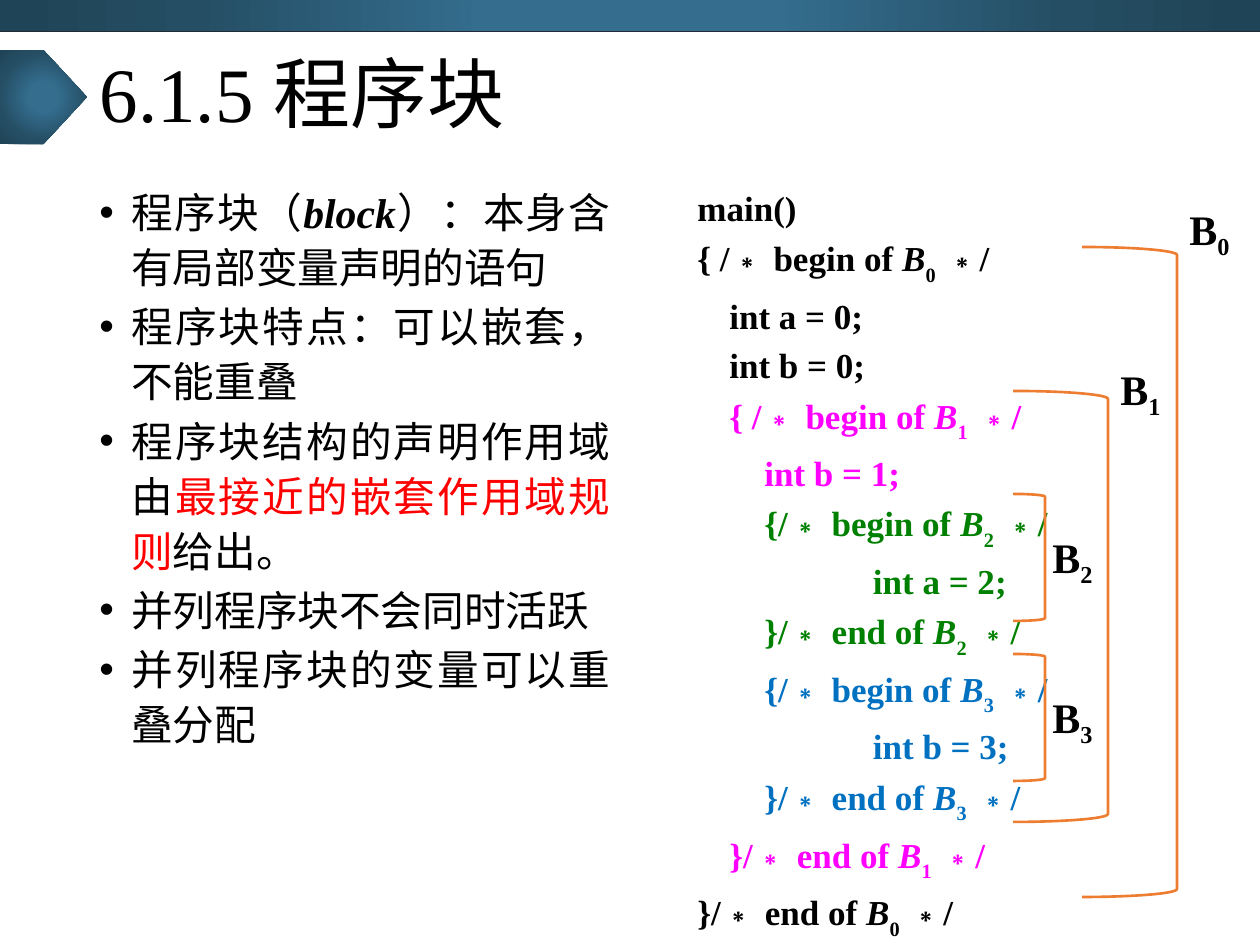
from lxml import etree
from pptx import Presentation
from pptx.dml.color import RGBColor
from pptx.enum.shapes import MSO_CONNECTOR, MSO_SHAPE
from pptx.enum.text import MSO_ANCHOR, MSO_AUTO_SIZE, PP_ALIGN
from pptx.oxml.ns import qn
from pptx.util import Emu, Pt

JUSTIFY, LEFT = PP_ALIGN.JUSTIFY, PP_ALIGN.LEFT
MIDDLE = MSO_ANCHOR.MIDDLE
GROW = MSO_AUTO_SIZE.SHAPE_TO_FIT_TEXT
RECT, PENTAGON = MSO_SHAPE.RECTANGLE, MSO_SHAPE.PENTAGON
BRACKET = MSO_SHAPE.RIGHT_BRACKET
STRAIGHT = MSO_CONNECTOR.STRAIGHT

LATIN, CJK = "Times New Roman", "Noto Sans CJK SC"
COLOURS = {
    "text": "000000", "key": "FF0000", "bracket": "ED7D31", "rule": "222A35",
    "B1": "FF00FF", "B2": "008000", "B3": "0070C0",
}
GRADIENT = [(0, "346D8E"), (23, "346D8E"), (69, "254E64"), (97, "204457")]

TITLE = "6.1.5 程序块"
# Each point is a list of (text, style)
POINTS = [
    [("程序块（", ""), ("block", "term"), ("）：本身含有局部变量声明的语句", "")],
    [("程序块特点：可以嵌套，不能重叠", "")],
    [("程序块结构的声明作用域由", ""), ("最接近的嵌套作用域规则", "key"), ("给出。", "")],
    [("并列程序块不会同时活跃", "")],
    [("并列程序块的变量可以重叠分配", "")],
]
# Code text, block named in its comment (None without a comment), colour
CODE = [
    ("main()", None, "text"),
    ("{ /∗ begin of ", 0, "text"),
    ("\tint a = 0;", None, "text"),
    ("\tint b = 0;", None, "text"),
    ("\t{ /∗ begin of ", 1, "B1"),
    ("\t    int b = 1;", None, "B1"),
    ("\t    {/∗ begin of ", 2, "B2"),
    ("\t\t  int a = 2;", None, "B2"),
    ("\t    }/∗ end of ", 2, "B2"),
    ("\t    {/∗ begin of ", 3, "B3"),
    ("\t\t  int b = 3;", None, "B3"),
    ("\t    }/∗ end of ", 3, "B3"),
    ("\t}/∗ end of ", 1, "B1"),
    ("}/∗ end of ", 0, "text"),
]
# Block number, bracket (left, top, width, height), label top
BLOCKS = [
    (2, (1013, 494, 32, 127), 525),
    (3, (1013, 654, 32, 127), 685),
    (1, (1013, 391, 95, 431), 357),
    (0, (1082, 247, 95, 650), 197),
]
LABEL_W, LABEL_H = 68, 63
LABEL_OVERLAP = {2: 5, 3: 5}
COLUMN_TOP, COLUMN_W, COLUMN_H = 176, 536, 675
POINTS_LEFT, CODE_LEFT = 87, 685
INDENT, TAB = 32, 126


def px(*lengths):
    return [Emu(round(n * 914400 / 126)) for n in lengths]


def rgb(name):
    return RGBColor.from_string(COLOURS[name])


def style(paragraph, size, latin=LATIN, colour="text", bold=False):
    font = paragraph.font
    font.size, font.bold, font.name = Pt(size), bold, latin
    font.color.rgb = rgb(colour)
    east_asian = etree.Element(qn("a:ea"), typeface=CJK)
    font._element.find(qn("a:latin")).addnext(east_asian)


def add_run(paragraph, text, italic=None, baseline=None):
    run = paragraph.add_run()
    run.text = text
    if italic:
        run.font.italic = True
    if baseline:
        run.font._element.set("baseline", str(baseline * 1000))
    return run


def add_banner(slide, kind, box):
    """Add a shape filled with the radial blue gradient."""
    shape = slide.shapes.add_shape(kind, *px(*box))
    shape.shadow.inherit = False
    shape.line.fill.background()
    shape.fill.gradient()
    fill = shape._element.spPr.find(qn("a:gradFill"))
    for child in list(fill):
        fill.remove(child)
    stops = etree.SubElement(fill, qn("a:gsLst"))
    for position, colour in GRADIENT:
        stop = etree.SubElement(stops, qn("a:gs"), pos=str(position * 1000))
        etree.SubElement(stop, qn("a:srgbClr"), val=colour)
    radial = etree.SubElement(fill, qn("a:path"), path="circle")
    etree.SubElement(radial, qn("a:fillToRect"),
                     {side: "50000" for side in "ltrb"})


def add_column(slide, left):
    frame = slide.shapes.add_textbox(
        *px(left, COLUMN_TOP, COLUMN_W, COLUMN_H)).text_frame
    frame.word_wrap = True
    return frame


def add_paragraph(frame, index, before, bullet=False):
    """Return a justified paragraph with a hanging indent."""
    paragraph = frame.add_paragraph() if index else frame.paragraphs[0]
    paragraph.alignment = JUSTIFY
    paragraph.line_spacing = 1.1
    paragraph.space_before = Pt(before if index else 0)
    props = paragraph._p.get_or_add_pPr()
    indent, tab = px(INDENT, TAB)
    props.set("marL", str(indent))
    props.set("indent", str(-indent))
    props.set("defTabSz", str(tab))
    if bullet:
        etree.SubElement(props, qn("a:buFont"), typeface="Arial")
        etree.SubElement(props, qn("a:buChar"), char="•")
    else:
        etree.SubElement(props, qn("a:buNone"))
    return paragraph


def add_points(slide):
    frame = add_column(slide, POINTS_LEFT)
    for index, point in enumerate(POINTS):
        paragraph = add_paragraph(frame, index, 2.4, bullet=True)
        style(paragraph, 23.8, CJK)
        for text, kind in point:
            run = add_run(paragraph, text, italic=kind == "term")
            if kind == "term":
                run.font.bold, run.font.name = True, LATIN
            elif kind == "key":
                run.font.color.rgb = rgb("key")


def add_code(slide):
    frame = add_column(slide, CODE_LEFT)
    for index, (text, block, colour) in enumerate(CODE):
        paragraph = add_paragraph(frame, index, 2)
        style(paragraph, 20, colour=colour, bold=True)
        add_run(paragraph, text)
        if block is not None:
            add_run(paragraph, "B", italic=True)
            add_run(paragraph, str(block), baseline=-30)
            add_run(paragraph, " ∗/")


def add_block(slide, number, box, label_top):
    group = slide.shapes.add_group_shape()
    bracket = group.shapes.add_shape(BRACKET, *px(*box))
    bracket.shadow.inherit = False
    bracket.fill.background()
    bracket.line.color.rgb = rgb("bracket")
    bracket.line.width = Pt(1.5)

    label_left = box[0] + box[2] - LABEL_OVERLAP.get(number, 0)
    label = group.shapes.add_textbox(
        *px(label_left, label_top, LABEL_W, LABEL_H)).text_frame
    label.word_wrap = False
    label.auto_size = GROW
    paragraph = label.paragraphs[0]
    style(paragraph, 24, bold=True)
    add_run(paragraph, "B")
    add_run(paragraph, str(number), baseline=-25)


def main():
    deck = Presentation()
    deck.slide_width, deck.slide_height = px(1260, 945)
    slide = deck.slides.add_slide(deck.slide_layouts[5])

    add_banner(slide, RECT, (0, 0, 1260, 31))
    rule = slide.shapes.add_connector(STRAIGHT, *px(0, 31, 1260, 31))
    rule.line.color.rgb = rgb("rule")
    rule.line.width = Pt(0.5)
    etree.SubElement(rule._element.spPr, qn("a:effectLst"))
    add_banner(slide, PENTAGON, (0, 50, 87, 94))

    title = slide.shapes.title
    title.left, title.top, title.width, title.height = px(87, 32, 1086, 131)
    title.text_frame.text = TITLE
    title.text_frame.vertical_anchor = MIDDLE
    heading = title.text_frame.paragraphs[0]
    heading.alignment = LEFT
    heading.line_spacing = 0.9
    style(heading, 44)

    add_points(slide)
    add_code(slide)
    for block in BLOCKS:
        add_block(slide, *block)
    deck.save("out.pptx")


if __name__ == "__main__":
    main()
